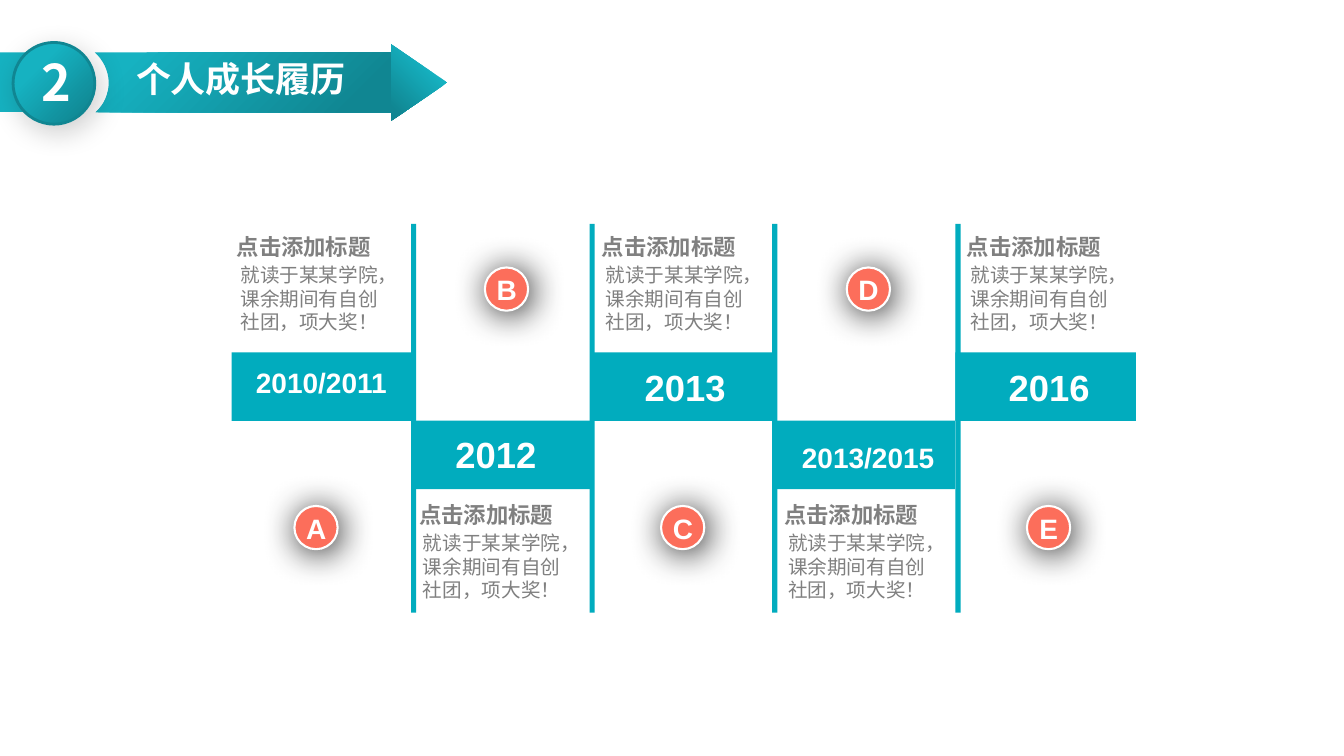
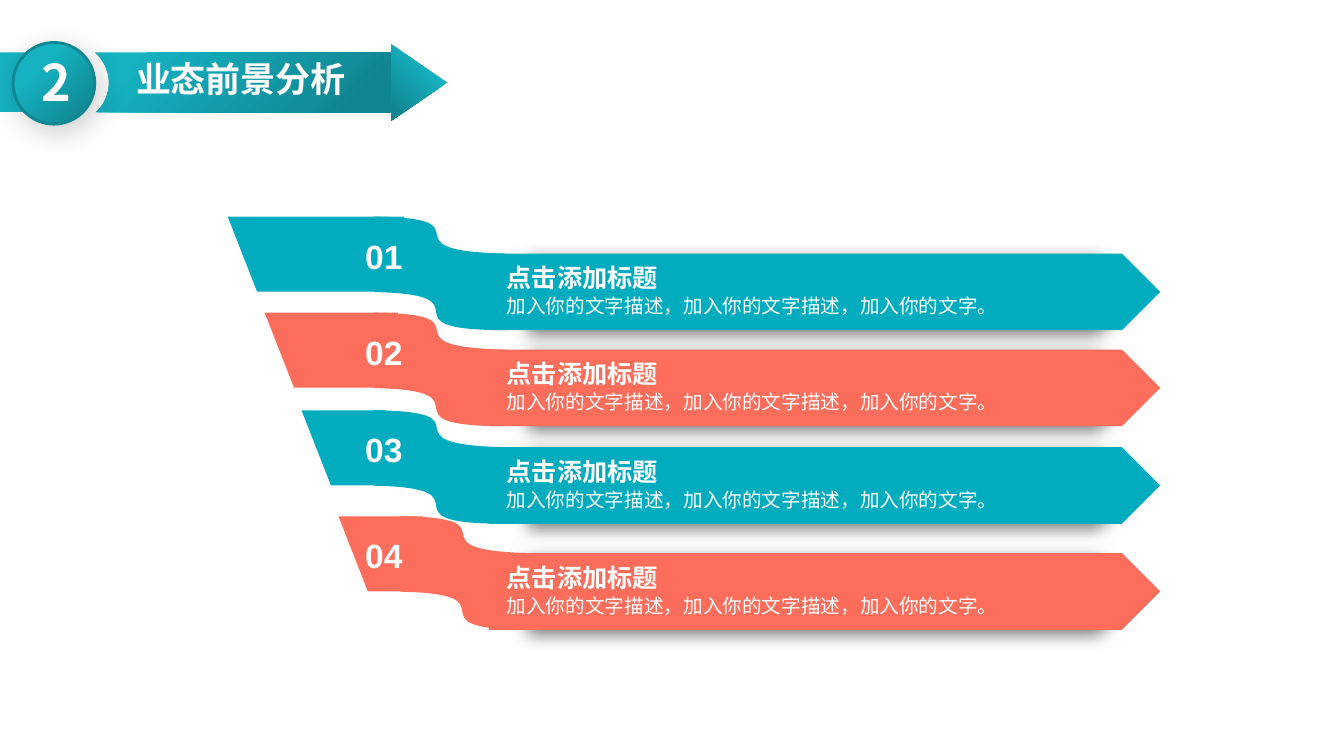
from dataclasses import dataclass
from typing import NamedTuple, Optional, Union

from lxml import etree
from pptx import Presentation
from pptx.dml.color import RGBColor
from pptx.enum.shapes import MSO_SHAPE
from pptx.enum.text import PP_ALIGN
from pptx.oxml.ns import qn
from pptx.util import Cm, Pt

RECTANGLE = MSO_SHAPE.RECTANGLE
OVAL = MSO_SHAPE.OVAL
PENTAGON = MSO_SHAPE.PENTAGON
TRIANGLE = MSO_SHAPE.ISOSCELES_TRIANGLE
LEFT, CENTER = PP_ALIGN.LEFT, PP_ALIGN.CENTER

COLORS = {
    "teal": "01ACBE",
    "coral": "FC6E5B",
    "gray": "808080",
    "white": "FFFFFF",
    "black": "000000",
    "near_black": "0D0D0D",
    "gradient_light": "16B2C1",
    "gradient_dark": "108692",
}
LATIN_FONT = "Arial"
CHINESE_FONT = "Noto Sans CJK SC"
HEADING = "点击添加标题"
DIVIDER_LEFTS = (10.36, 14.86, 19.46, 24.08)


class Point(NamedTuple):
    """A corner of an outline, in centimetres."""
    x: float
    y: float


class Curve(NamedTuple):
    """A cubic curve to an end point, with its two control points."""
    first: Point
    second: Point
    end: Point


Contour = list[Union[Point, Curve]]


@dataclass(frozen=True)
class Box:
    """A rectangle in centimetres."""
    left: float
    top: float
    width: float
    height: float

    def lengths(self) -> tuple:
        """Return the four sides as slide lengths."""
        return Cm(self.left), Cm(self.top), Cm(self.width), Cm(self.height)


@dataclass(frozen=True)
class TextStyle:
    """How a piece of text looks."""
    size: float
    color: str = "white"
    bold: bool = True
    font: str = CHINESE_FONT
    align: PP_ALIGN = LEFT
    margin_top: float = 0


@dataclass(frozen=True)
class Shadow:
    """An outer shadow: opacity and scales in percent, lengths in points."""
    color: str
    opacity: int
    blur: float
    distance: float
    angle: int
    align: str = "ctr"
    scale_x: int = 100
    scale_y: int = 100


@dataclass(frozen=True)
class Period:
    """One column of the timeline."""
    years: str
    year_size: int
    year_box: Box
    letter: str
    badge_left: float


@dataclass(frozen=True)
class Ribbon:
    """One folded ribbon of the list."""
    number: str
    color: str
    top: float
    tail_right: float
    fold_left: float = 9.42


BADGE_SHADOW = Shadow("black", 89, 26, 3, 45, "tl", 99, 99)
PLATE_SHADOW = Shadow("black", 50, 12, 5, 45, "t", 90)
HEADER_SHADOW = Shadow("near_black", 20, 20, 6, 59)

PERIODS = [
    Period("2010/2011", 20, Box(6.12, 9.07, 3.96, 1.12), "A", 7.42),
    Period("2012", 26, Box(11.05, 10.77, 2.9, 1.37), "B", 12.22),
    Period("2013", 26, Box(15.82, 9.07, 2.9, 1.37), "C", 16.66),
    Period("2013/2015", 20, Box(19.81, 10.97, 4.14, 1.12), "D", 21.34),
    Period("2016", 26, Box(24.99, 9.07, 2.9, 1.37), "E", 25.88),
]
RIBBONS = [
    Ribbon("01", "teal", 5.46, 10.19),
    Ribbon("02", "coral", 7.88, 10.03),
    Ribbon("03", "teal", 10.34, 9.73),
    Ribbon("04", "coral", 13.01, 10.67, 10.08),
]


def rgb(name: str) -> RGBColor:
    """Return a named colour."""
    return RGBColor.from_string(COLORS[name])


def add_text(slide, box: Box, lines: list[str], style: TextStyle) -> None:
    """Add a text box with one paragraph per line."""
    frame = slide.shapes.add_textbox(*box.lengths()).text_frame
    frame.word_wrap = True
    frame.margin_left = frame.margin_right = Cm(0.25)
    frame.margin_top = frame.margin_bottom = Cm(style.margin_top)
    for index, line in enumerate(lines):
        paragraph = frame.add_paragraph() if index else frame.paragraphs[0]
        paragraph.alignment = style.align
        run = paragraph.add_run()
        run.text = line
        run.font.size = Pt(style.size)
        run.font.bold = style.bold
        run.font.color.rgb = rgb(style.color)
        run.font.name = style.font
        east_asian = etree.SubElement(run._r.get_or_add_rPr(), qn("a:ea"))
        east_asian.set("typeface", style.font)


def label_style(size: float, font: str = LATIN_FONT) -> TextStyle:
    """Return the style of centred white labels."""
    return TextStyle(size, font=font, align=CENTER, margin_top=0.13)


def add_shadow(shape, shadow: Shadow) -> None:
    """Give a shape an outer shadow."""
    effects = shape._element.spPr.find(qn("a:effectLst"))
    outer = etree.SubElement(effects, qn("a:outerShdw"))
    outer.set("blurRad", str(Pt(shadow.blur)))
    outer.set("dist", str(Pt(shadow.distance)))
    outer.set("dir", str(shadow.angle * 60000))
    outer.set("sx", str(shadow.scale_x * 1000))
    outer.set("sy", str(shadow.scale_y * 1000))
    outer.set("algn", shadow.align)
    outer.set("rotWithShape", "0")
    color = etree.SubElement(outer, qn("a:srgbClr"))
    color.set("val", COLORS[shadow.color])
    etree.SubElement(color, qn("a:alpha")).set("val", str(shadow.opacity * 1000))


def paint(shape, color: Optional[str] = None, line: Optional[str] = None,
          line_width: float = 1, shadow: Optional[Shadow] = None):
    """Fill a shape with a colour, or with the header gradient if none is given."""
    if color:
        shape.fill.solid()
        shape.fill.fore_color.rgb = rgb(color)
    else:
        shape.fill.gradient()
        shape.fill.gradient_angle = 315
        ends = ((0.3, "gradient_light"), (0.9, "gradient_dark"))
        for stop, (position, name) in zip(shape.fill.gradient_stops, ends):
            stop.position = position
            stop.color.rgb = rgb(name)
    if line:
        shape.line.color.rgb = rgb(line)
        shape.line.width = Pt(line_width)
    else:
        shape.line.fill.background()
    shape.shadow.inherit = False
    if shadow:
        add_shadow(shape, shadow)
    return shape


def add_shape(slide, kind: MSO_SHAPE, box: Box, color: Optional[str] = None, **look):
    """Add a painted preset shape."""
    return paint(slide.shapes.add_shape(kind, *box.lengths()), color, **look)


def bend(lines: list) -> None:
    """Turn three line steps of an outline into one cubic curve."""
    curve = etree.Element(qn("a:cubicBezTo"))
    lines[0].addprevious(curve)
    for line in lines:
        curve.append(line[0])
        line.getparent().remove(line)


def add_outline(slide, contours: list[Contour], color: Optional[str] = None) -> None:
    """Add a freeform of closed contours, each starting at a point."""
    first = contours[0][0]
    builder = slide.shapes.build_freeform(Cm(first.x), Cm(first.y), scale=1.0)
    curve_starts, line_count = [], 0
    for index, (start, *steps) in enumerate(contours):
        if index:
            builder.move_to(Cm(start.x), Cm(start.y))
        corners = []
        for step in steps:
            if isinstance(step, Curve):
                curve_starts.append(line_count + len(corners))
                corners.extend(step)
            else:
                corners.append(step)
        builder.add_line_segments([(Cm(x), Cm(y)) for x, y in corners], close=True)
        line_count += len(corners)
    shape = paint(builder.convert_to_shape(), color)
    lines = list(shape._element.iter(qn("a:lnTo")))
    for position in curve_starts:
        bend(lines[position:position + 3])


def add_header(slide, title: str) -> None:
    """Draw the arrow band with the section number and title."""
    right_part = [
        Point(2.39, 1.32), Point(9.88, 1.32), Point(9.88, 2.83), Point(2.41, 2.83),
        Curve(Point(2.62, 2.64), Point(2.74, 2.39), Point(2.74, 2.08)),
        Curve(Point(2.74, 1.78), Point(2.59, 1.5), Point(2.39, 1.32)),
    ]
    left_part = [
        Point(0, 1.32), Point(1.04, 1.32),
        Curve(Point(0.81, 1.5), Point(0.69, 1.78), Point(0.69, 2.08)),
        Curve(Point(0.69, 2.39), Point(0.79, 2.64), Point(0.99, 2.83)),
        Point(0, 2.83),
    ]
    add_outline(slide, [right_part, left_part])
    add_shape(slide, TRIANGLE, Box(9.6, 1.37, 1.93, 1.42)).rotation = 90
    add_text(slide, Box(3.18, 1.32, 7.16, 1.5), [title], TextStyle(25, margin_top=0.13))
    add_shape(slide, OVAL, Box(0.33, 1.07, 2.06, 2.06),
              line="gradient_dark", line_width=2, shadow=HEADER_SHADOW)
    add_text(slide, Box(0.2, 1.17, 2.44, 1.8), ["2"], label_style(36, CHINESE_FONT))


def add_timeline(slide) -> None:
    """Draw the columns that alternate above and below the middle line."""
    for index, period in enumerate(PERIODS):
        upper = index % 2 == 0
        heading_left = 5.38 + 4.6 * index
        heading_top = 5.87 if upper else 12.62
        add_text(slide, Box(heading_left, heading_top, 4.55, 0.71), [HEADING],
                 TextStyle(16, "gray", align=CENTER))
        add_text(slide, Box(heading_left + 0.43, heading_top + 0.76, 4.14, 2.26),
                 ["就读于某某学院，", "课余期间有自创社团，项大奖！"],
                 TextStyle(14, "gray", bold=False))
        add_shape(slide, RECTANGLE,
                  Box(5.84 + 4.56 * index, 8.88 if upper else 10.6, 4.55, 1.73), "teal")
    for left in DIVIDER_LEFTS:
        add_shape(slide, RECTANGLE, Box(left, 5.64, 0.13, 9.8), "teal")
    for index, period in enumerate(PERIODS):
        badge_top = 6.74 if index % 2 else 12.75
        add_text(slide, period.year_box, [period.years], label_style(period.year_size))
        add_shape(slide, OVAL, Box(period.badge_left, badge_top, 1.09, 1.09),
                  "coral", line="white", line_width=1.5, shadow=BADGE_SHADOW)
        add_text(slide, Box(period.badge_left - 1.43, badge_top, 3.96, 1.12),
                 [period.letter], label_style(20))


def add_ribbon(slide, ribbon: Ribbon, tail_left: float) -> None:
    """Draw a ribbon: slanted tail, fold, arrow plate and text."""
    top, fold, right = ribbon.top, ribbon.fold_left, ribbon.tail_right
    plate_top, tail_bottom = top + 0.93, top + 1.89
    add_outline(slide, [[Point(tail_left, top), Point(right, top),
                         Point(right, tail_bottom),
                         Point(tail_left + 0.74, tail_bottom)]], ribbon.color)
    add_outline(slide, [[
        Point(fold, top), Point(fold, top + 1.9),
        Curve(Point(fold + 3.05, top + 1.96), Point(fold + 0.03, top + 2.86),
              Point(fold + 3.33, top + 2.86)),
        Point(fold + 3.33, plate_top),
        Curve(Point(fold + 0.08, top + 0.86), Point(fold + 3.05, top + 0.03),
              Point(fold, top)),
    ]], ribbon.color)
    add_shape(slide, PENTAGON, Box(12.32, plate_top, 16.92, 1.93), ribbon.color,
              shadow=PLATE_SHADOW)
    add_text(slide, Box(8.71, top + 0.35, 1.93, 1.27), [ribbon.number], label_style(24))
    add_text(slide, Box(12.52, plate_top + 1.02, 13, 0.91),
             ["加入你的文字描述，加入你的文字描述，加入你的文字。"],
             TextStyle(14, bold=False))
    add_text(slide, Box(12.52, plate_top + 0.22, 6.58, 0.81), [HEADING], TextStyle(18))


def main() -> None:
    """Build and save the presentation."""
    presentation = Presentation()
    presentation.slide_width, presentation.slide_height = Cm(33.87), Cm(19.05)
    blank = presentation.slide_layouts[6]

    history = presentation.slides.add_slide(blank)
    add_timeline(history)
    add_header(history, "个人成长履历")

    outlook = presentation.slides.add_slide(blank)
    for index, ribbon in enumerate(RIBBONS):
        add_ribbon(outlook, ribbon, 5.74 + 0.93 * index)
    add_header(outlook, "业态前景分析")

    presentation.save("out.pptx")


if __name__ == "__main__":
    main()
